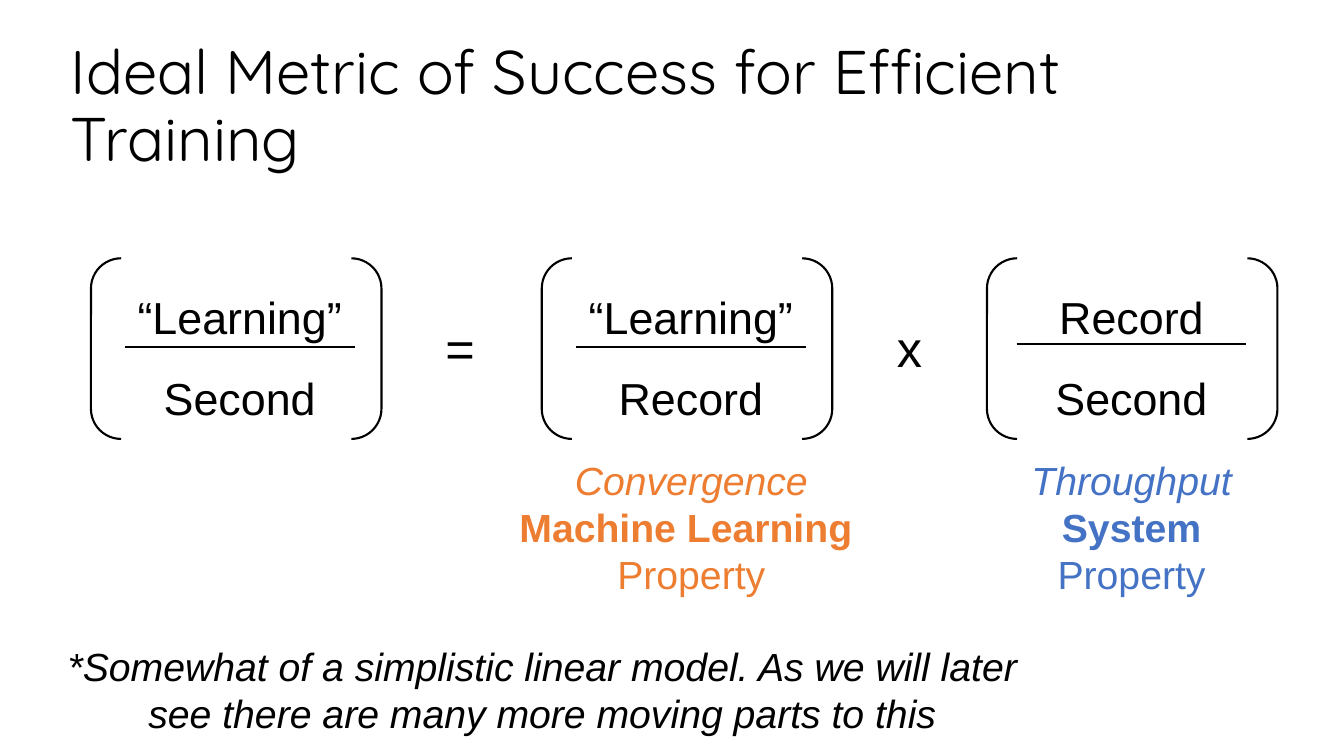
import pptx
import pptx.dml.color
import pptx.enum.shapes
import pptx.enum.text
import pptx.oxml
import pptx.util
from pptx.util import Pt

COLORS = {"ink": "000000", "learning": "ED7D31", "system": "4472C4"}
FRACTION_TOP = 184.5
ALIGN = pptx.enum.text.PP_ALIGN
ANCHOR = pptx.enum.text.MSO_ANCHOR


def rgb(name):
    return pptx.dml.color.RGBColor.from_string(COLORS[name])


def add_text(slide, lines, left, top, width, height, size=28, font="Arial",
             color="ink", align=ALIGN.CENTER, anchor=ANCHOR.TOP,
             spacing=1.0, wrap=False, styles=()):
    box = slide.shapes.add_textbox(Pt(left), Pt(top), Pt(width), Pt(height))
    frame = box.text_frame
    frame.word_wrap = wrap
    frame.vertical_anchor = anchor
    for index, line in enumerate(lines):
        paragraph = frame.paragraphs[0] if index == 0 else frame.add_paragraph()
        paragraph.alignment = align
        paragraph.line_spacing = spacing
        run = paragraph.add_run()
        run.text = line
        run.font.name = font
        run.font.size = Pt(size)
        run.font.color.rgb = rgb(color)
        style = styles[index] if index < len(styles) else ""
        run.font.italic = style == "italic"
        run.font.bold = style == "bold"


def add_fraction_bar(slide, center, y, width=164):
    bar = slide.shapes.add_connector(
        pptx.enum.shapes.MSO_CONNECTOR.STRAIGHT,
        Pt(center - width / 2), Pt(y), Pt(center + width / 2), Pt(y))
    bar.line.color.rgb = rgb("ink")
    bar.line.width = Pt(1.5)
    bar._element.spPr.append(pptx.oxml.parse_xml(
        '<a:effectLst xmlns:a="http://schemas.openxmlformats.org/drawingml/2006/main"/>'))


def add_brackets(slide, left):
    brackets = slide.shapes.add_shape(
        pptx.enum.shapes.MSO_SHAPE.DOUBLE_BRACKET,
        Pt(left), Pt(FRACTION_TOP), Pt(207.5), Pt(129))
    brackets.shadow.inherit = False
    brackets.fill.background()
    brackets.line.color.rgb = rgb("ink")
    brackets.line.width = Pt(1.5)


def add_fraction(slide, numerator, denominator, left, center, bar_y, width):
    add_text(slide, [numerator, denominator], center - width / 2, FRACTION_TOP,
             width, 116, size=32, spacing=1.5)
    add_fraction_bar(slide, center, bar_y)
    add_brackets(slide, left)


def add_operator(slide, symbol, left, width):
    add_text(slide, [symbol], left, 223, width, 51, size=36, align=ALIGN.LEFT)


def add_property(slide, lines, center, width, color):
    add_text(slide, lines, center - width / 2, 322.5, width, 109, color=color,
             styles=("italic", "bold"))


def main():
    deck = pptx.Presentation()
    deck.slide_width, deck.slide_height = Pt(960), Pt(540)
    slide = deck.slides.add_slide(deck.slide_layouts[6])

    add_text(slide, ["Ideal Metric of Success for Efficient Training"],
             43.5, 25, 850, 104.5, size=44, font="Quicksand", align=ALIGN.LEFT,
             anchor=ANCHOR.MIDDLE, spacing=0.9, wrap=True)

    add_fraction(slide, "“Learning”", "Second", 65, 171.25, 248, 181.5)
    add_operator(slide, "=", 311, 37)
    add_fraction(slide, "“Learning”", "Record", 387, 493.5, 248, 181.5)
    add_operator(slide, "x", 633.5, 32)
    add_fraction(slide, "Record", "Second", 705, 808.25, 246, 135.5)

    add_property(slide, ["Convergence", "Machine Learning ", "Property"],
                 493.75, 270.5, "learning")
    add_property(slide, ["Throughput", "System", "Property"],
                 808.25, 170.5, "system")

    add_text(slide, ["*Somewhat of a simplistic linear model. As we will later "
                     "see there are many more moving parts to this"],
             18, 455, 738.5, 75, wrap=True, styles=("italic",))

    deck.save("out.pptx")


if __name__ == "__main__":
    main()
